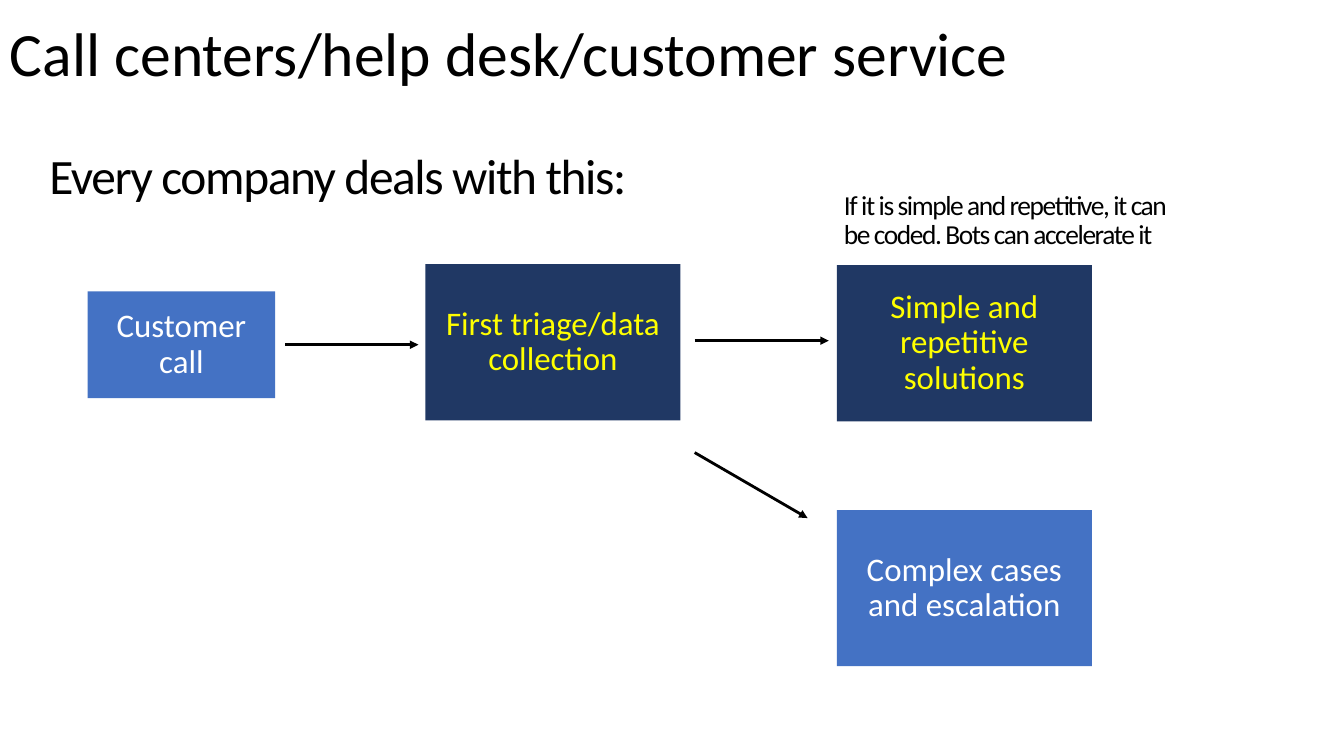
from dataclasses import dataclass

from lxml.etree import SubElement
from pptx import Presentation
from pptx.dml.color import RGBColor
from pptx.enum.shapes import MSO_CONNECTOR, MSO_SHAPE
from pptx.enum.text import MSO_ANCHOR, PP_ALIGN
from pptx.oxml.ns import qn
from pptx.util import Pt

PX = 9144  # 100 px to the inch


@dataclass(frozen=True)
class Theme:
    font: str = "Calibri"
    black: RGBColor = RGBColor(0x00, 0x00, 0x00)
    white: RGBColor = RGBColor(0xFF, 0xFF, 0xFF)
    yellow: RGBColor = RGBColor(0xFF, 0xFF, 0x00)
    blue: RGBColor = RGBColor(0x44, 0x72, 0xC4)
    navy: RGBColor = RGBColor(0x20, 0x38, 0x64)
    title_size: float = 44
    lead_size: float = 35.3
    box_size: float = 23.5
    note_size: float = 19.6
    arrow_width: float = 2


theme = Theme()


def write_text(shape, text, *, size, color=theme.black, margins=(16, 10),
               anchor=MSO_ANCHOR.TOP, align=PP_ALIGN.LEFT, spacing=0):
    """Fill a shape with one paragraph; margins are (side, top and bottom) in px."""
    frame = shape.text_frame
    frame.word_wrap = True
    frame.vertical_anchor = anchor
    frame.margin_left = frame.margin_right = margins[0] * PX
    frame.margin_top = frame.margin_bottom = margins[1] * PX
    paragraph = frame.paragraphs[0]
    paragraph.alignment = align
    paragraph.line_spacing = 0.9
    run = paragraph.add_run()
    run.text = text
    run.font.name = theme.font
    run.font.size = Pt(size)
    run.font.color.rgb = color
    if spacing:
        run.font._element.set("spc", str(spacing * 100))


presentation = Presentation()
presentation.slide_width = 1333 * PX
presentation.slide_height = 750 * PX
slide = presentation.slides.add_slide(presentation.slide_layouts[6])
shapes = slide.shapes

title = shapes.add_textbox(0, 7 * PX, 1275 * PX, 98 * PX)
write_text(title, "Call centers/help desk/customer service", size=theme.title_size,
           margins=(10, 5), anchor=MSO_ANCHOR.MIDDLE)

lead = shapes.add_textbox(33 * PX, 141 * PX, 621 * PX, 278 * PX)
write_text(lead, "Every company deals with this:", size=theme.lead_size, spacing=-1)

small, large = (186, 106), (253, 155)
boxes = [
    ("Customer call", 87, 289, small, theme.blue, theme.white),
    ("First triage/data collection", 422, 262, large, theme.navy, theme.yellow),
    ("Simple and repetitive solutions", 830, 263, large, theme.navy, theme.yellow),
    ("Complex cases and escalation", 830, 506, large, theme.blue, theme.white),
]
for text, left, top, (width, height), fill, color in boxes:
    box = shapes.add_shape(MSO_SHAPE.RECTANGLE, left * PX, top * PX, width * PX, height * PX)
    box.shadow.inherit = False
    box.fill.solid()
    box.fill.fore_color.rgb = fill
    box.line.fill.background()
    write_text(box, text, size=theme.box_size, color=color, margins=(20, 16),
               anchor=MSO_ANCHOR.MIDDLE, align=PP_ALIGN.CENTER)

arrows = [(283, 342, 415, 342), (689, 338, 822, 338), (689, 449, 801, 514)]
for ends in arrows:
    arrow = shapes.add_connector(MSO_CONNECTOR.STRAIGHT, *(end * PX for end in ends))
    arrow.line.color.rgb = theme.black
    arrow.line.width = Pt(theme.arrow_width)
    SubElement(arrow.line._get_or_add_ln(), qn("a:tailEnd"), type="triangle")
    SubElement(arrow._element.spPr, qn("a:effectLst"))

note = shapes.add_textbox(821 * PX, 180 * PX, 379 * PX, 168 * PX)
write_text(note, "If it is simple and repetitive, it can be coded. Bots can accelerate it",
           size=theme.note_size, spacing=-1)

presentation.save("out.pptx")
